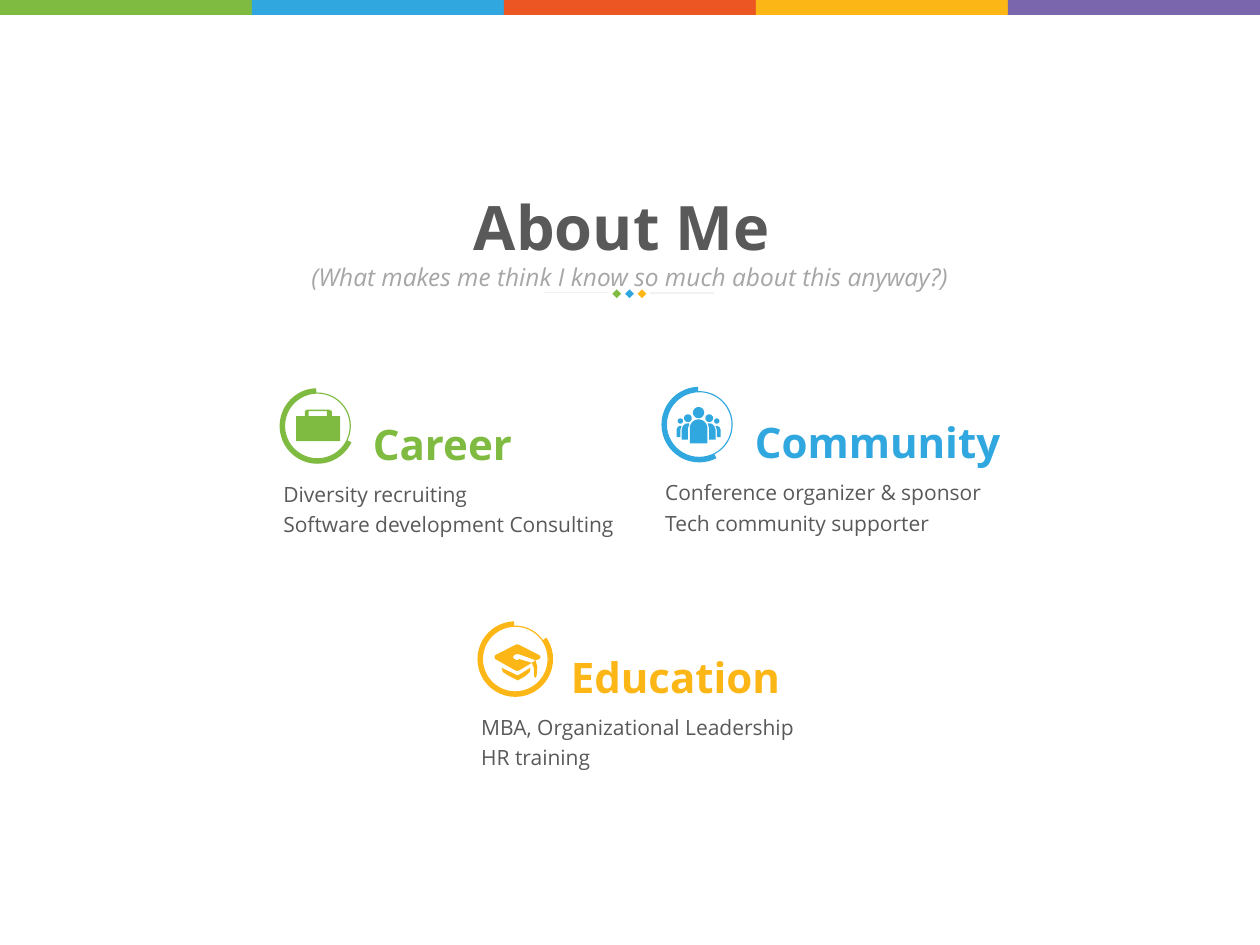
from math import cos, pi, sin

from lxml.etree import SubElement
from pptx import Presentation
from pptx.dml.color import RGBColor
from pptx.enum.shapes import MSO_CONNECTOR, MSO_SHAPE
from pptx.enum.text import MSO_AUTO_SIZE, PP_ALIGN
from pptx.oxml.ns import qn
from pptx.util import Pt

GREEN, BLUE, ORANGE, YELLOW, PURPLE = "7FBB41", "30A7DF", "EC5623", "FCB616", "7A66AD"
DARK, GRAY, PALE = "595959", "A6A6A6", "F2F2F2"


def color(value):
    return RGBColor.from_string(value)


def arc(x, y, radius, start=0, end=2 * pi, steps=32):
    angles = [start + (end - start) * step / steps for step in range(steps + 1)]
    return [(x + radius * cos(angle), y + radius * sin(angle)) for angle in angles]


def mirror(points):
    return [(-x, y) for x, y in points]


def briefcase_icon():
    return [
        [(9.4, 16), (14.4, 16), (14.4, 13.2), (15.6, 12.2), (28.4, 12.2), (29.8, 13.2),
         (29.8, 16), (34.6, 16), (34.6, 30.2), (9.4, 30.2)],
        [(16.6, 13.2), (27, 13.2), (27, 16), (16.6, 16)],
    ]


def people_icon():
    center = 21.2
    inner = [(-6.1, 30.2), (-9.7, 30.2), (-9.7, 24.5), (-9, 22.5), (-7.6, 21.2),
             (-6.1, 20.9), (-5.2, 21.1), (-6.1, 23.8)]
    outer = [(-10.4, 28.8), (-12.6, 28.8), (-12.6, 24.5), (-11.9, 23), (-10.4, 22.3),
             (-9.7, 22.5), (-10.4, 24.5)]
    left_side = [inner, outer, arc(-6.1, 18, 2.2), arc(-10.4, 19.6, 1.5)]
    leader = [arc(0, 14.8, 3.2), arc(0, 23.7, 5, pi, 2 * pi) + [(5, 32.4), (-5, 32.4)]]
    contours = leader + left_side + [mirror(points) for points in left_side]
    return [[(center + x, y) for x, y in points] for points in contours]


def graduation_icon():
    return [
        [(13.7, 26.6), (14.4, 29), (18, 31.3), (23, 33.8), (27.4, 31.3), (29.9, 29),
         (30.2, 26.6), (23, 31)],
        [(35.3, 19.4), (23.8, 13.5), (22.7, 13.2), (21.6, 13.5), (10.1, 19.4), (9.6, 20.5),
         (10.1, 21.6), (21.6, 28.1), (22.7, 28.4), (23.8, 28.1), (31, 23.8), (23.8, 21.6),
         (22.7, 22.3), (20.9, 21.6), (20.2, 20.4), (21.2, 19.1), (23, 18.7), (25.2, 19.4),
         (33.1, 22.3), (35.3, 21.6), (36, 20.5)],
        [(32.4, 31.7), (33.2, 32.3), (33.8, 31), (34.2, 26), (33.1, 22.3), (31, 23.8),
         (32.2, 26.6)],
    ]


class SlideBuilder:
    font = "Open Sans"
    ring_size = 43.2

    def __init__(self, slide):
        self.slide = slide

    def paint(self, shape, fill):
        shape.shadow.inherit = False
        shape.fill.solid()
        shape.fill.fore_color.rgb = color(fill)
        shape.line.fill.background()

    def shape(self, kind, left, top, width, height, fill, adjustments=(), rotation=0):
        shape = self.slide.shapes.add_shape(kind, Pt(left), Pt(top), Pt(width), Pt(height))
        for index, value in enumerate(adjustments):
            shape.adjustments[index] = value
        shape.rotation = rotation
        self.paint(shape, fill)

    def outline(self, left, top, contours, fill):
        placed = [[(Pt(left + x), Pt(top + y)) for x, y in points] for points in contours]
        builder = self.slide.shapes.build_freeform(*placed[0][0])
        for index, points in enumerate(placed):
            if index:
                builder.move_to(*points[0])
            builder.add_line_segments(points[1:], close=True)
        self.paint(builder.convert_to_shape(), fill)

    def line(self, left, right, y, stroke):
        connector = self.slide.shapes.add_connector(
            MSO_CONNECTOR.STRAIGHT, Pt(left), Pt(y), Pt(right), Pt(y))
        connector.line.color.rgb = color(stroke)
        connector.line.width = Pt(1)
        SubElement(connector._element.spPr, qn("a:effectLst"))

    def text(self, left, top, width, height, lines, alignment=PP_ALIGN.LEFT,
             spacing=None, wrap=True, insets=(7.2, 3.6), grow=True):
        box = self.slide.shapes.add_textbox(Pt(left), Pt(top), Pt(width), Pt(height))
        frame = box.text_frame
        frame.word_wrap = wrap
        frame.auto_size = MSO_AUTO_SIZE.SHAPE_TO_FIT_TEXT if grow else MSO_AUTO_SIZE.NONE
        frame.margin_left = frame.margin_right = Pt(insets[0])
        frame.margin_top = frame.margin_bottom = Pt(insets[1])
        for index, (content, size, ink, bold, italic) in enumerate(lines):
            paragraph = frame.add_paragraph() if index else frame.paragraphs[0]
            paragraph.alignment = alignment
            if spacing:
                paragraph.line_spacing = spacing
            run = paragraph.add_run()
            run.text = content
            run.font.name = self.font
            run.font.size = Pt(size)
            run.font.bold = bold
            run.font.italic = italic
            run.font.color.rgb = color(ink)

    def topic(self, left, top, heading, heading_width, details, details_width,
              accent, arc_start, icon):
        size = self.ring_size
        self.shape(MSO_SHAPE.BLOCK_ARC, left, top, size, size, accent,
                   (arc_start, 214.925, 0.063), 270)
        self.shape(MSO_SHAPE.DONUT, left + 2.5, top + 2.5, size - 5, size - 5, accent, (0.017,))
        self.outline(left, top, icon, accent)
        self.text(left + 48.3, top + 8.6, heading_width, 40.3,
                  [(heading, 24, accent, True, False)], spacing=1.2, wrap=False,
                  insets=(5, 2.9))
        self.text(left - 5, top + 46.8, details_width, 42.5,
                  [(detail, 12, DARK, False, False) for detail in details], spacing=1.2)


def main():
    presentation = Presentation()
    presentation.slide_width, presentation.slide_height = Pt(720), Pt(540)
    builder = SlideBuilder(presentation.slides.add_slide(presentation.slide_layouts[6]))

    builder.text(-111.6, 104.4, 943.2, 72.7, [
        ("About Me ", 35, DARK, True, False),
        ("(What makes me think I know so much about this anyway?)", 14, GRAY, False, True),
    ], alignment=PP_ALIGN.CENTER, grow=False)
    builder.line(311, 347.8, 167.2, PALE)
    builder.line(371.5, 408.2, 167.6, PALE)
    for index, fill in enumerate((GREEN, BLUE, YELLOW)):
        builder.shape(MSO_SHAPE.DIAMOND, 350 + 7.2 * index, 165.4, 5, 5, fill)

    builder.topic(159.8, 221.8, "Career", 90.7,
                  ("Diversity recruiting", "Software development Consulting"), 239.8,
                  GREEN, 69.338, briefcase_icon())
    builder.topic(378, 221, "Community", 152.6,
                  ("Conference organizer & sponsor", "Tech community supporter"), 213.8,
                  BLUE, 91.731, people_icon())
    builder.topic(272.9, 355, "Education", 131.8,
                  ("MBA, Organizational Leadership", "HR training"), 198,
                  YELLOW, 33.204, graduation_icon())

    for index, fill in enumerate((GREEN, BLUE, ORANGE, YELLOW, PURPLE)):
        builder.shape(MSO_SHAPE.RECTANGLE, 144 * index, 0, 144, 8.6, fill)

    presentation.save("out.pptx")


if __name__ == "__main__":
    main()
